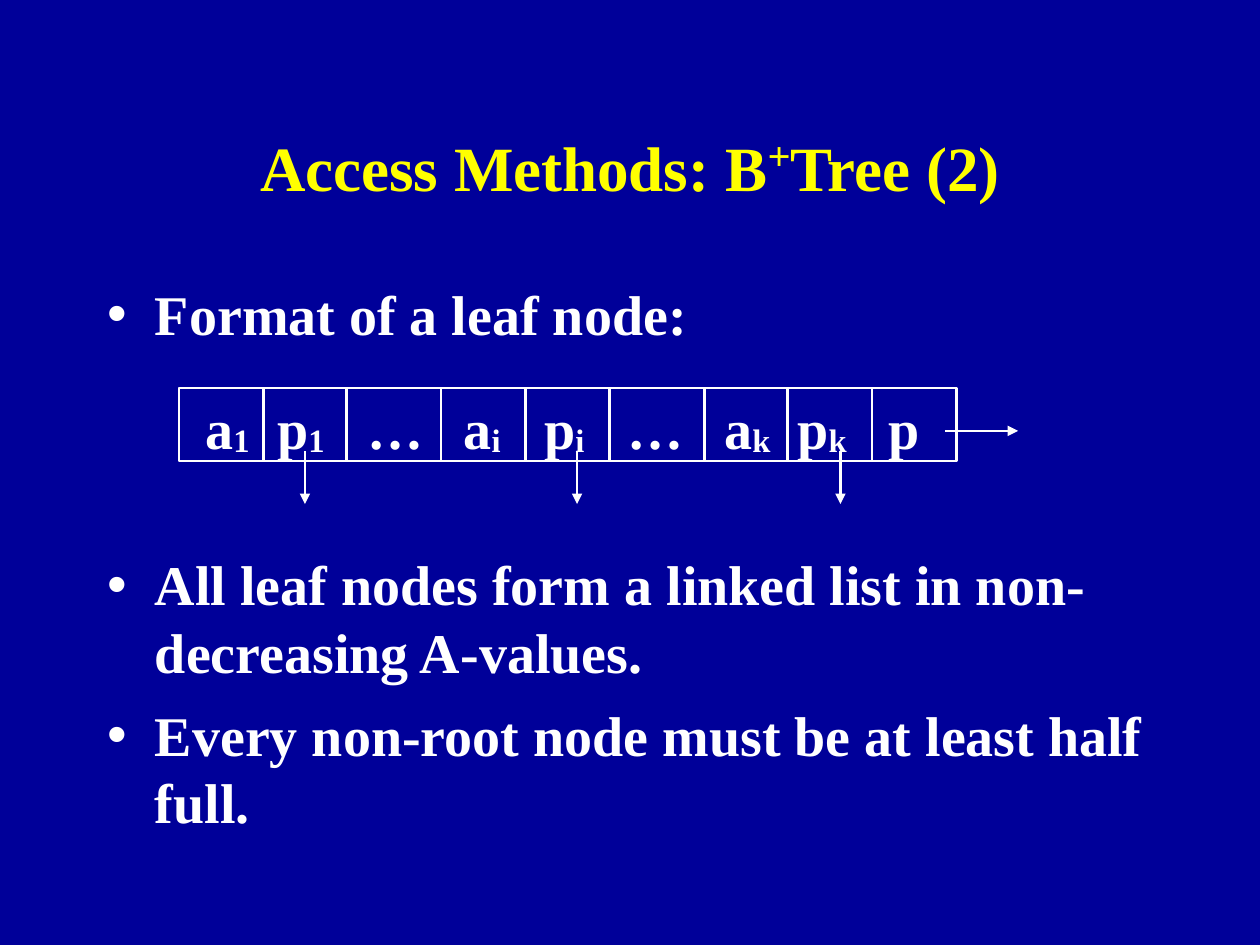
from lxml import etree
from pptx import Presentation
from pptx.dml.color import RGBColor
from pptx.enum.shapes import MSO_CONNECTOR, MSO_SHAPE
from pptx.enum.text import MSO_ANCHOR, MSO_AUTO_SIZE, PP_ALIGN
from pptx.oxml.ns import qn
from pptx.util import Inches, Pt

LINE = MSO_CONNECTOR.STRAIGHT
RECT = MSO_SHAPE.RECTANGLE
MIDDLE, TOP = MSO_ANCHOR.MIDDLE, MSO_ANCHOR.TOP
FIXED = MSO_AUTO_SIZE.NONE
CENTER, LEFT = PP_ALIGN.CENTER, PP_ALIGN.LEFT
FONT = "Times New Roman"
COLORS = {"back": "000099", "title": "FFFF00", "text": "FFFFFF"}
CELLS = [(0.21, "a", "1"), (0.78, "p", "1"), (1.5, "…", ""),
         (2.26, "a", "i"), (2.9, "p", "i"), (3.56, "…", ""),
         (4.33, "a", "k"), (4.91, "p", "k"), (5.63, "p", "")]


def color(name):
    return RGBColor.from_string(COLORS[name])


def place(shape, box, anchor):
    shape.left, shape.top, shape.width, shape.height = map(Inches, box)
    frame = shape.text_frame
    frame.word_wrap = True
    frame.auto_size = FIXED
    frame.vertical_anchor = anchor
    return frame


def add_run(para, text, size, tone, base=0):
    run = para.add_run()
    run.text = text
    font = run.font
    font.name, font.size, font.bold = FONT, Pt(size), True
    font.color.rgb = color(tone)
    if base:
        run._r.get_or_add_rPr().set("baseline", str(base * 1000))


def add_title(shape, box):
    para = place(shape, box, MIDDLE).paragraphs[0]
    para.alignment = CENTER
    add_run(para, "Access Methods: B", 36, "title")
    add_run(para, "+", 40, "title", 30)
    add_run(para, "Tree (2)", 36, "title")


def add_point(para, text, before):
    para.alignment = LEFT
    para.space_before = Pt(before)
    para.line_spacing = 1.0
    props = para._p.get_or_add_pPr()
    props.set("marL", str(Inches(0.38)))
    props.set("indent", str(Inches(-0.38)))
    tint = etree.SubElement(props, qn("a:buClr"))
    etree.SubElement(tint, qn("a:srgbClr"), val=COLORS["text"])
    etree.SubElement(props, qn("a:buChar"), char="•")
    add_run(para, text, 32, "text")


def add_body(shape, box):
    frame = place(shape, box, TOP)
    add_point(frame.paragraphs[0], "Format of a leaf node:", 0)
    add_point(frame.add_paragraph(), "All leaf nodes form a linked list in "
              "non-decreasing A-values.", 116)
    add_point(frame.add_paragraph(), "Every non-root node must be at least "
              "half full.", 9)


def add_label(shapes, box, name, sub):
    frame = place(shapes.add_textbox(*map(Inches, box)), box, TOP)
    frame.margin_left = frame.margin_right = 0
    frame.margin_top = frame.margin_bottom = 0
    frame.word_wrap = False
    para = frame.paragraphs[0]
    para.alignment = LEFT
    add_run(para, name, 32, "text")
    if sub:
        add_run(para, sub, 32, "text", -6)


def add_line(shapes, start, end, arrow=False):
    link = shapes.add_connector(LINE, *map(Inches, start + end))
    link.line.color.rgb = color("text")
    link.line.width = Pt(1.5)
    etree.SubElement(link._element.spPr, qn("a:effectLst"))
    if arrow:
        etree.SubElement(link.line._get_or_add_ln(), qn("a:tailEnd"),
                         type="triangle")


def add_node(shapes, box):
    left, top, width, height = box
    frame = shapes.add_shape(RECT, *map(Inches, box))
    frame.shadow.inherit = False
    frame.fill.background()
    frame.line.color.rgb = color("text")
    frame.line.width = Pt(1.5)
    for step, name, sub in CELLS:
        add_label(shapes, (left + step, top + 0.04, 0.5, 0.52), name, sub)
    for step in (0.67, 1.33, 2.08, 2.75, 3.42, 4.17, 4.83, 5.5):
        x = left + step
        add_line(shapes, (x, top), (x, top + height))
    for step in (1, 3.16, 5.25):
        x = left + step
        add_line(shapes, (x, top + 0.5), (x, top + 0.92), True)
    x, y = left + width, top + 0.34
    add_line(shapes, (x - 0.09, y), (x + 0.49, y), True)


def main():
    deck = Presentation()
    deck.slide_width, deck.slide_height = Inches(10), Inches(7.5)
    slide = deck.slides.add_slide(deck.slide_layouts[1])
    fill = slide.background.fill
    fill.solid()
    fill.fore_color.rgb = color("back")
    add_title(slide.shapes.title, (0.75, 0.67, 8.5, 1.25))
    add_body(slide.placeholders[1], (0.75, 2.17, 8.5, 4.5))
    add_node(slide.shapes, (1.42, 3.08, 6.17, 0.58))
    deck.save("out.pptx")


if __name__ == "__main__":
    main()
